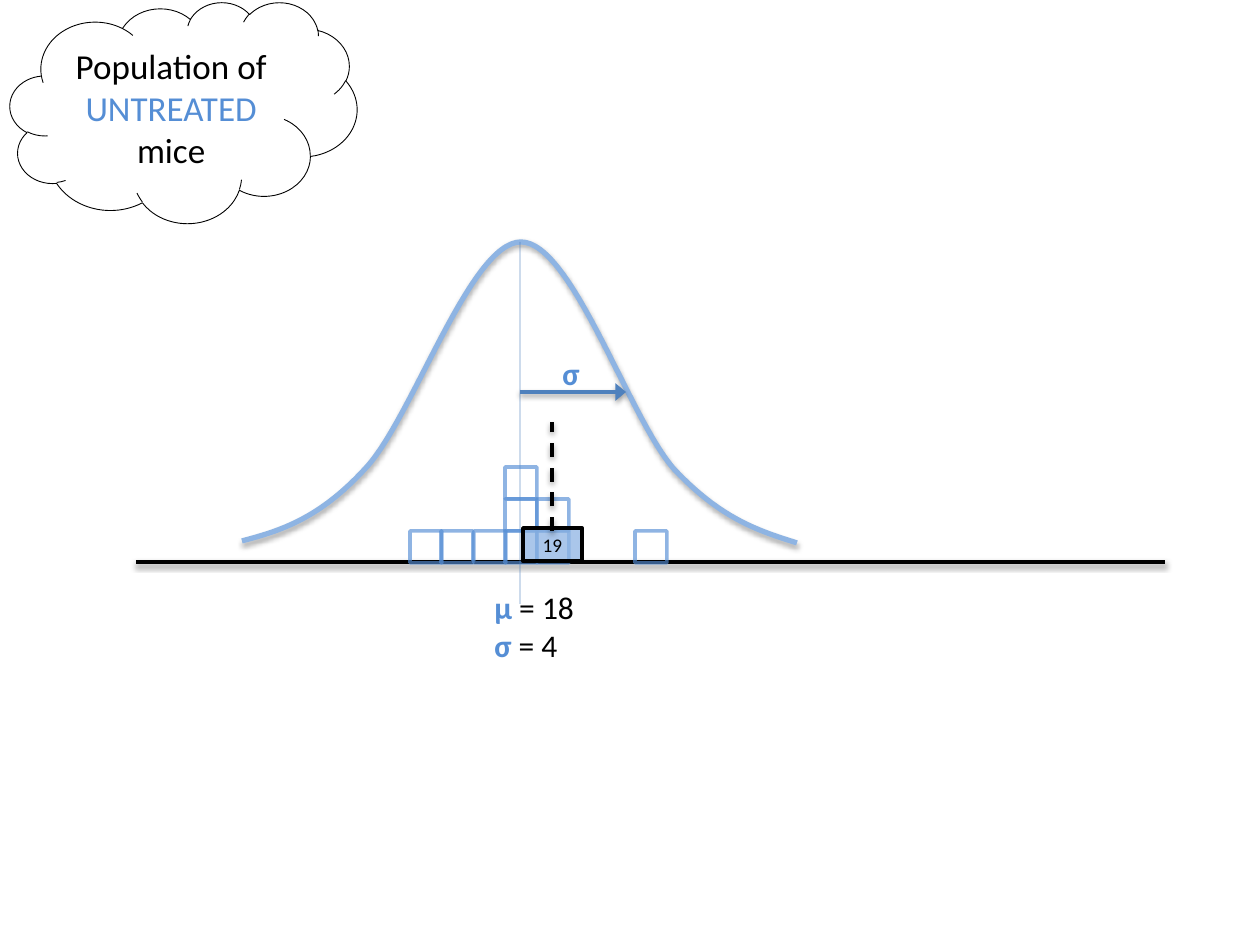
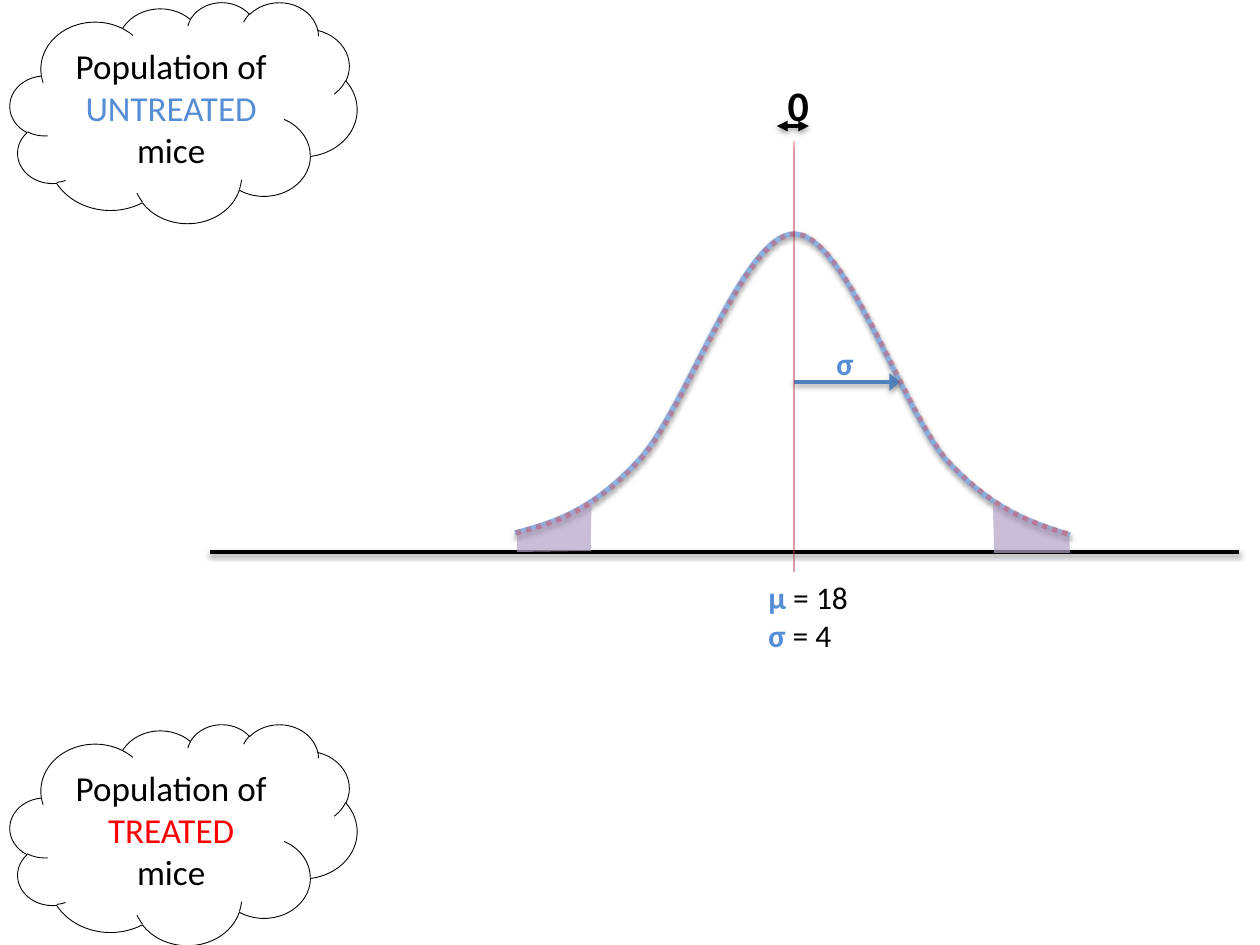
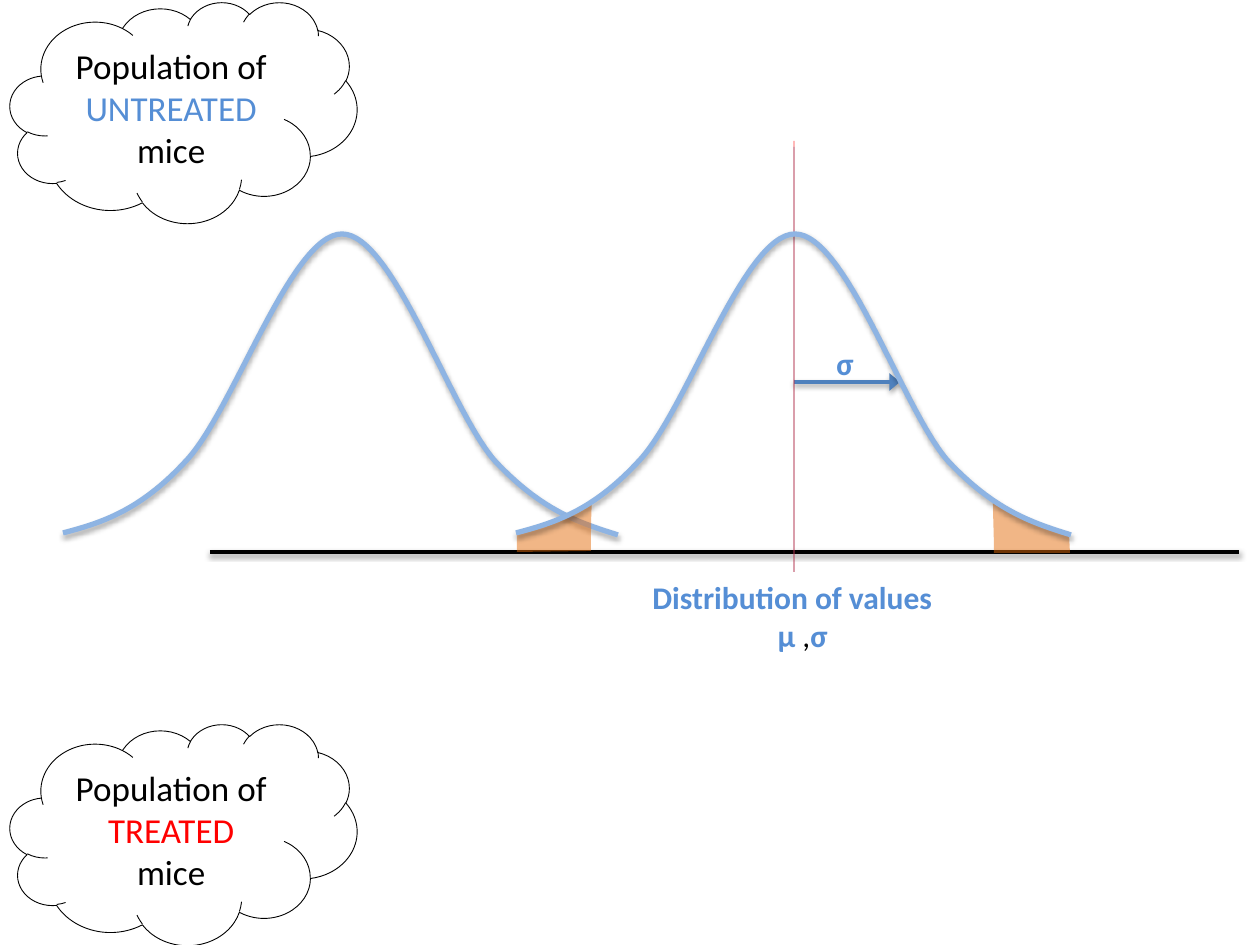
from pptx import Presentation
from pptx.dml.color import RGBColor
from pptx.enum.dml import MSO_LINE
from pptx.enum.shapes import MSO_CONNECTOR, MSO_SHAPE
from pptx.enum.text import MSO_ANCHOR as Anchor, PP_ALIGN as Align
from pptx.oxml.ns import qn
from pptx.util import Pt
from lxml.etree import SubElement

# Scale and shared look
EMU_PER_PX = 914400 / 126
FONT = "Calibri"
BLACK = RGBColor(0x00, 0x00, 0x00)
RED = RGBColor(0xFF, 0x00, 0x00)
BLUE = RGBColor(0x55, 0x8E, 0xD5)
PALE_BLUE = RGBColor(0x8E, 0xB4, 0xE3)
ARROW_BLUE = RGBColor(0x4F, 0x81, 0xBD)
MEAN_BLUE = RGBColor(0x4B, 0x7E, 0xBC)
PURPLE = RGBColor(0xB3, 0xA2, 0xC7)
ORANGE = RGBColor(0xE4, 0x6C, 0x0A)

# Shadows: blur, distance (EMU) and opacity (percent)
LINE_SHADOW = (40000, 20000, 38)
CURVE_SHADOW = (40000, 23000, 35)

# Bell curve: a start and four cubic segments, measured from its peak
BELL = [
    (-279, 299),
    (-241, 289), (-202, 277), (-156, 227),
    (-109, 178), (-51, 0), (0, 0),
    (51, 0), (108, 176), (153, 227),
    (200, 277), (238, 289), (276, 301),
]
BELL_CURVES = (0, 3, 6, 9)

# Tails, measured from the mean on the axis, and where their cubic starts
RIGHT_TAIL = [(276, 1), (275, -20), (263, -23), (249, -27), (232, -35), (219, -40),
              (199, -52), (199, -34), (200, -17), (200, 1)]
LEFT_TAIL = [(-277, -19), (-258, -24), (-240, -32), (-219, -42), (-202, -51),
             (-203, -34), (-203, -18), (-203, -1), (-277, 0)]
TAILS = [(RIGHT_TAIL, 6), (LEFT_TAIL, 4)]

# Histogram: left edge of each column and its number of squares
COLUMNS = {410: 1, 441: 1, 474: 1, 505: 3, 537: 2, 635: 1}
SQUARE = 32
BOTTOM_ROW = 531

AXIS_LENGTH = 1029
MEAN, PEAK, AXIS = 794, 234, 552

PARAMETERS = [
    (Align.LEFT, [("µ", BLUE, True), (" = 18", BLACK, False)]),
    (Align.LEFT, [("σ", BLUE, True), (" = 4", BLACK, False)]),
]
DISTRIBUTION = [
    (Align.LEFT, [("Distribution of values", BLUE, True)]),
    (Align.CENTER, [("µ ", BLUE, True), (",", BLACK, False), ("σ", BLUE, True)]),
]


def emu(*lengths):
    return [round(length * EMU_PER_PX) for length in lengths]


def set_attributes(target, values):
    for name, value in values.items():
        setattr(target, name, value)


def set_opacity(parent, percent):
    for color in parent.iter(qn("a:srgbClr")):
        SubElement(color, qn("a:alpha"), val=str(percent * 1000))


def format_line(shape, color, width, opacity=100, dash=None, ends=None):
    line = shape.line
    line.fill.solid()
    line.fill.fore_color.rgb = color
    set_attributes(line, {"width": Pt(width), "dash_style": dash})
    outline = shape._element.spPr.find(qn("a:ln"))
    if opacity < 100:
        set_opacity(outline, opacity)
    for end, head_width in (ends or {}).items():
        SubElement(outline, qn(f"a:{end}"), type="triangle", w=head_width)


def format_fill(shape, color=None, opacity=100):
    if color is None:
        shape.fill.background()
        return
    shape.fill.solid()
    shape.fill.fore_color.rgb = color
    set_opacity(shape._element.spPr.find(qn("a:solidFill")), opacity)


def set_shadow(shape, shadow=None):
    """Call after fill and line, as the effects come last."""
    effects = SubElement(shape._element.spPr, qn("a:effectLst"))
    if shadow:
        blur, distance, opacity = shadow
        outer = SubElement(effects, qn("a:outerShdw"), blurRad=str(blur),
                           dist=str(distance), dir="5400000", rotWithShape="0")
        SubElement(outer, qn("a:srgbClr"), val=str(BLACK))
        set_opacity(outer, opacity)


def write_text(shape, paragraphs, size, wrap=True, anchor=Anchor.TOP):
    frame = shape.text_frame
    set_attributes(frame, {"word_wrap": wrap, "vertical_anchor": anchor})
    for index, (alignment, runs) in enumerate(paragraphs):
        paragraph = frame.add_paragraph() if index else frame.paragraphs[0]
        paragraph.alignment = alignment
        for text, color, bold in runs:
            run = paragraph.add_run()
            run.text = text
            set_attributes(run.font, {"name": FONT, "size": Pt(size), "bold": bold})
            run.font.color.rgb = color


def add_text(parent, box, paragraphs, size=18, wrap=True):
    shape = parent.shapes.add_textbox(*emu(*box))
    write_text(shape, paragraphs, size, wrap)


def add_line(parent, start, end, color, width, shadow=None, **style):
    connector = parent.shapes.add_connector(
        MSO_CONNECTOR.STRAIGHT, *emu(*start, *end))
    format_line(connector, color, width, **style)
    set_shadow(connector, shadow)


def add_box(parent, kind, box, line, fill=()):
    shape = parent.shapes.add_shape(kind, *emu(*box))
    format_fill(shape, *fill)
    format_line(shape, *line)
    set_shadow(shape)
    return shape


def add_outline(parent, points, origin, curve_starts, close):
    """Draw the points; three segments from each curve start become one cubic."""
    points = [emu(origin[0] + x, origin[1] + y) for x, y in points]
    builder = parent.shapes.build_freeform(*points[0], scale=1.0)
    builder.add_line_segments(points[1:], close=close)
    shape = builder.convert_to_shape()
    segments = list(shape._element.spPr.iter(qn("a:lnTo")))
    for start in curve_starts:
        cubic, *others = segments[start:start + 3]
        cubic.tag = qn("a:cubicBezTo")
        for segment in others:
            cubic.append(segment[0])
            segment.getparent().remove(segment)
    return shape


def add_curve(parent, center, peak, color=PALE_BLUE, **style):
    shape = add_outline(parent, BELL, (center, peak), BELL_CURVES, close=False)
    format_fill(shape)
    format_line(shape, color, 3, **style)
    set_shadow(shape, CURVE_SHADOW)


def add_tails(slide, color, opacity):
    for points, curve_start in TAILS:
        shape = add_outline(slide, points, (MEAN, AXIS), [curve_start], close=True)
        format_fill(shape, color, opacity)
        shape.line.fill.background()
        set_shadow(shape)


def add_axis(slide, left, y):
    add_line(slide, (left, y), (left + AXIS_LENGTH, y), BLACK, 2, LINE_SHADOW)


def add_mean_line(parent, mean, top, bottom, color=MEAN_BLUE):
    add_line(parent, (mean, top), (mean, bottom), color, 0.75, opacity=42)


def add_sigma(slide, mean, y):
    group = slide.shapes.add_group_shape()
    add_line(group, (mean, y), (mean + 106, y), ARROW_BLUE, 2, LINE_SHADOW,
             ends={"tailEnd": "lg"})
    add_text(group, (mean + 30, y - 44, 47, 50),
             [(Align.LEFT, [("σ", BLUE, True)])], wrap=False)


def add_parameters(slide, mean, axis):
    add_text(slide, (mean - 38, axis + 20, 116, 89), PARAMETERS)


def add_cloud(slide, top, group_name, color):
    cloud = add_box(slide, MSO_SHAPE.CLOUD, (10, top, 347, 221), (BLACK, 0.5))
    runs = [("Population of ", BLACK, False), (group_name + " ", color, False),
            ("mice", BLACK, False)]
    write_text(cloud, [(Align.CENTER, runs)], 20, anchor=Anchor.MIDDLE)


def add_both_clouds(slide):
    add_cloud(slide, 2, "UNTREATED", BLUE)
    add_cloud(slide, 724, "TREATED", RED)


def add_histogram(slide):
    for left, count in COLUMNS.items():
        for level in range(count):
            box = (left, BOTTOM_ROW - SQUARE * level, SQUARE, SQUARE)
            add_box(slide, MSO_SHAPE.RECTANGLE, box, (BLUE, 2, 66))


def build_sample_slide(slide):
    mean, peak, axis = 520, 242, 562
    add_axis(slide, 136, axis)
    population = slide.shapes.add_group_shape()
    add_curve(population, mean + 1, peak)
    add_mean_line(population, mean, peak, 604)
    add_parameters(slide, mean, axis)
    add_histogram(slide)
    # Sample mean and its marker
    sample_mean = add_box(slide, MSO_SHAPE.RECTANGLE, (523, 528, 59, 33),
                          (BLACK, 2), (PALE_BLUE, 75))
    write_text(sample_mean, [(Align.CENTER, [("19", BLACK, False)])], 11,
               anchor=Anchor.MIDDLE)
    add_line(slide, (552, 531), (552, 422), BLACK, 2, LINE_SHADOW, dash=MSO_LINE.DASH)
    add_sigma(slide, mean, 392)
    add_cloud(slide, 2, "UNTREATED", BLUE)


def build_no_difference_slide(slide):
    add_axis(slide, 210, AXIS)
    add_curve(slide, MEAN, PEAK)
    add_mean_line(slide, MEAN, 147, 572)
    add_parameters(slide, MEAN, AXIS)
    add_sigma(slide, MEAN, 382)
    add_tails(slide, PURPLE, 70)
    add_both_clouds(slide)
    # Difference between the two means
    difference = slide.shapes.add_group_shape()
    add_line(difference, (809, 126), (777, 126), BLACK, 2, LINE_SHADOW,
             ends={"headEnd": "med", "tailEnd": "med"})
    add_text(difference, (786, 73, 14, 63), [(Align.CENTER, [("0", BLACK, True)])],
             size=24, wrap=False)
    # Treated population, on top of the untreated one
    treated = slide.shapes.add_group_shape()
    add_curve(treated, MEAN + 1, PEAK, RED, opacity=26, dash=MSO_LINE.ROUND_DOT)
    add_mean_line(treated, MEAN, 141, 572, RED)


def build_distribution_slide(slide):
    add_axis(slide, 210, AXIS)
    add_curve(slide, 342, PEAK)
    add_mean_line(slide, MEAN, 147, 572)
    add_text(slide, (640, AXIS + 20, 325, 89), DISTRIBUTION)
    add_sigma(slide, MEAN, 382)
    add_tails(slide, ORANGE, 49)
    add_both_clouds(slide)
    add_mean_line(slide, MEAN, 141, 572, RED)
    add_curve(slide, MEAN + 1, PEAK)


def main():
    presentation = Presentation()
    width, height = emu(1260, 945)
    set_attributes(presentation, {"slide_width": width, "slide_height": height})
    blank = presentation.slide_layouts[6]
    for build in (build_sample_slide, build_no_difference_slide,
                  build_distribution_slide):
        build(presentation.slides.add_slide(blank))
    presentation.save("out.pptx")


if __name__ == "__main__":
    main()
